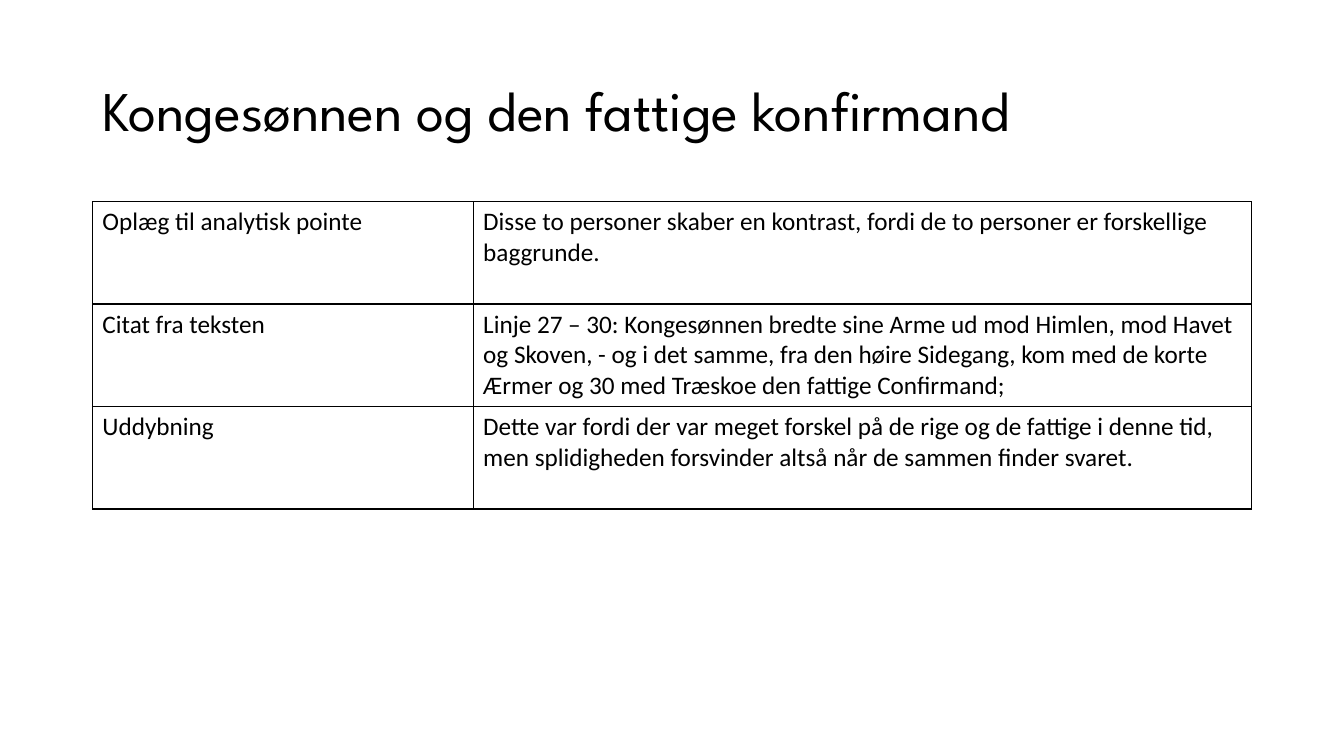
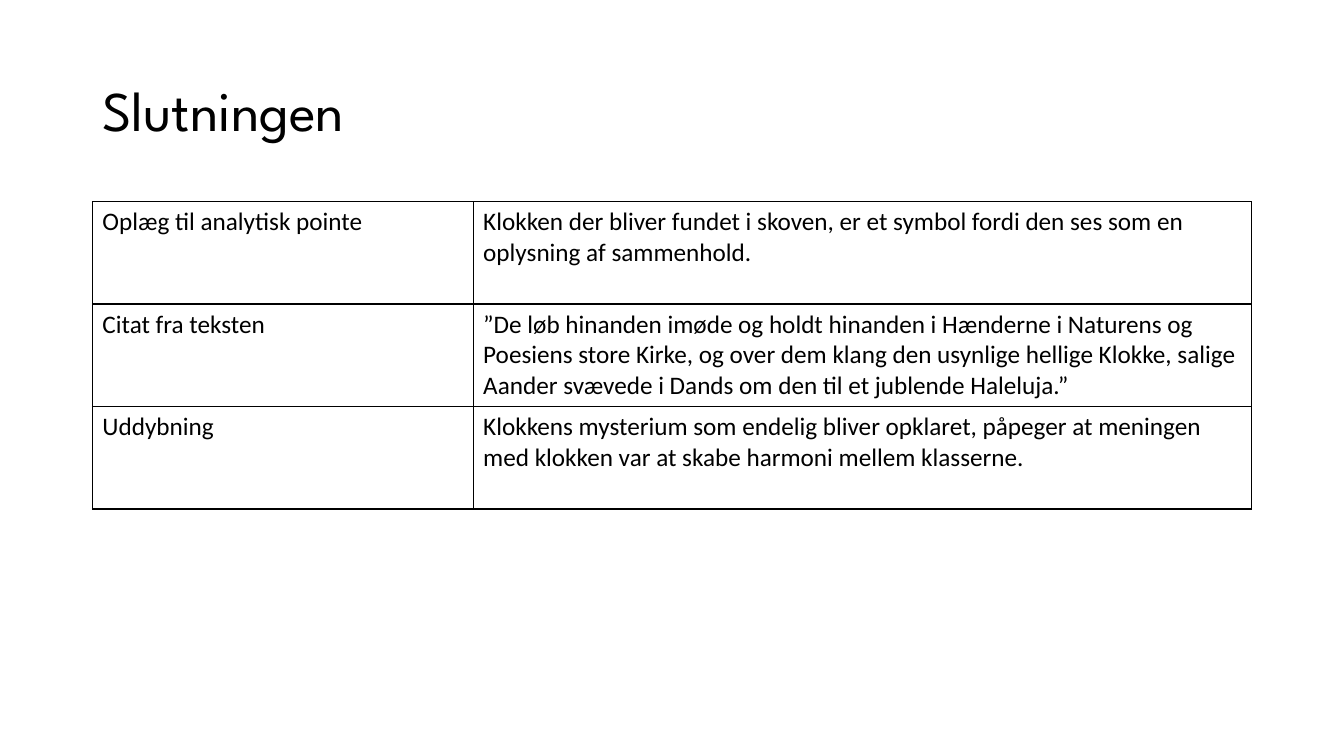
import pptx
import pptx.dml.color
import pptx.enum.text
import pptx.oxml.ns
import pptx.util
import lxml.etree

Pt = pptx.util.Pt
BLACK = pptx.dml.color.RGBColor(0, 0, 0)
WHITE = pptx.dml.color.RGBColor(255, 255, 255)
LABELS = ["Oplæg til analytisk pointe", "Citat fra teksten", "Uddybning"]
SLIDES = [
    ("Kongesønnen og den fattige konfirmand", [
        "Disse to personer skaber en kontrast, fordi de to personer er forskellige baggrunde.",
        "Linje 27 – 30: Kongesønnen bredte sine Arme ud mod Himlen, mod Havet og Skoven, - og i det samme, "
        "fra den høire Sidegang, kom med de korte Ærmer og 30 med Træskoe den fattige Confirmand;",
        "Dette var fordi der var meget forskel på de rige og de fattige i denne tid, "
        "men splidigheden forsvinder altså når de sammen finder svaret.",
    ]),
    ("Slutningen", [
        "Klokken der bliver fundet i skoven, er et symbol fordi den ses som en oplysning af sammenhold.",
        "”De løb hinanden imøde og holdt hinanden i Hænderne i Naturens og Poesiens store Kirke, "
        "og over dem klang den usynlige hellige Klokke, salige Aander svævede i Dands om den "
        "til et jublende Haleluja.”",
        "Klokkens mysterium som endelig bliver opklaret, påpeger at meningen med klokken var "
        "at skabe harmoni mellem klasserne.",
    ]),
]


class Deck:
    head_font = "League Spartan"
    body_font = "Calibri"
    left = 66
    widths = [272, 556]
    row_high = 73.2

    def __init__(self):
        self.file = pptx.Presentation()
        self.file.slide_width = Pt(960)
        self.file.slide_height = Pt(540)
        self.slide = None

    def add_slide(self):
        layout = self.file.slide_layouts.get_by_name("Title Only")
        self.slide = self.file.slides.add_slide(layout)
        fill = self.slide.background.fill
        fill.solid()
        fill.fore_color.rgb = WHITE

    def style(self, frame, name, size):
        for para in frame.paragraphs:
            para.alignment = pptx.enum.text.PP_ALIGN.LEFT
            for run in para.runs:
                run.font.name = name
                run.font.size = Pt(size)
                run.font.color.rgb = BLACK
                run.font.bold = False

    def title(self, text):
        shape = self.slide.shapes.title
        shape.left, shape.top = Pt(self.left), Pt(28.8)
        shape.width, shape.height = Pt(sum(self.widths)), Pt(104.4)
        frame = shape.text_frame
        frame.text = text
        frame.word_wrap = True
        frame.auto_size = pptx.enum.text.MSO_AUTO_SIZE.NONE
        frame.vertical_anchor = pptx.enum.text.MSO_ANCHOR.MIDDLE
        frame.paragraphs[0].line_spacing = 0.9
        self.style(frame, self.head_font, 40)

    def border(self, cell):
        props = cell._tc.get_or_add_tcPr()
        name = pptx.oxml.ns.qn
        for side in ("lnL", "lnR", "lnT", "lnB"):
            line = lxml.etree.SubElement(props, name("a:" + side), w=str(Pt(1)))
            fill = lxml.etree.SubElement(line, name("a:solidFill"))
            lxml.etree.SubElement(fill, name("a:srgbClr"), val=str(BLACK))

    def table(self, rows):
        frame = self.slide.shapes.add_table(
            len(rows), len(self.widths), Pt(self.left), Pt(144),
            Pt(sum(self.widths)), Pt(self.row_high * len(rows)))
        table = frame.table
        table.first_row = False
        table.horz_banding = False
        for col, width in zip(table.columns, self.widths):
            col.width = Pt(width)
        for row, texts in zip(table.rows, rows):
            row.height = Pt(self.row_high)
            for cell, text in zip(row.cells, texts):
                cell.text_frame.text = text
                self.style(cell.text_frame, self.body_font, 18)
                self.border(cell)
                cell.fill.background()

    def save(self):
        self.file.save("out.pptx")


def main():
    deck = Deck()
    for title, notes in SLIDES:
        deck.add_slide()
        deck.title(title)
        deck.table(list(zip(LABELS, notes)))
    deck.save()


if __name__ == "__main__":
    main()
